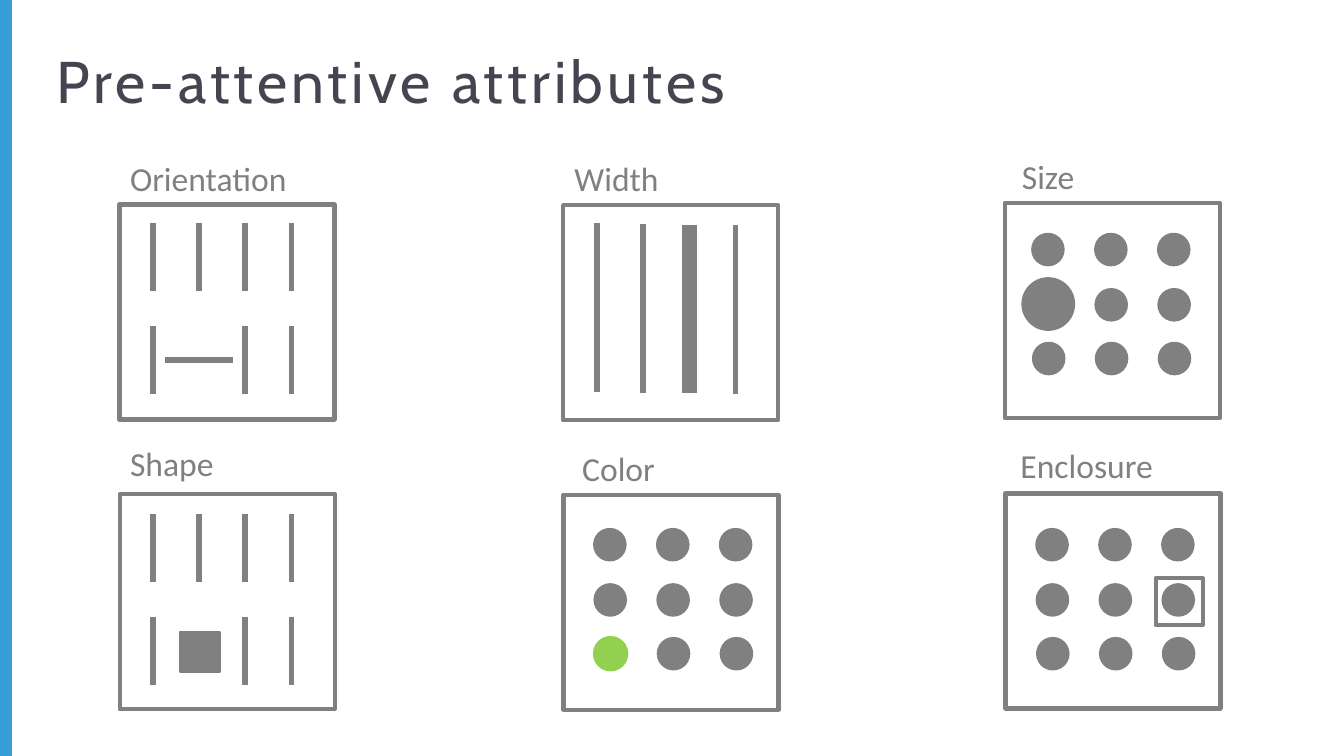
"""Build a slide of six panels showing pre-attentive visual attributes."""
from itertools import product

from lxml.etree import SubElement
from pptx import Presentation
from pptx.dml.color import RGBColor
from pptx.enum.shapes import MSO_CONNECTOR as Connector, MSO_SHAPE as Shape
from pptx.enum.text import MSO_ANCHOR as Anchor, PP_ALIGN as Align
from pptx.oxml.ns import qn
from pptx.util import Pt

GRAY = RGBColor(0x80, 0x80, 0x80)
BLUE = RGBColor(0x35, 0x9E, 0xD8)
GREEN = RGBColor(0x92, 0xD0, 0x50)
DARK = RGBColor(0x45, 0x45, 0x51)

TITLE = "Pre-attentive attributes"
FRAMES = [
    (64, 109.6), (301.7, 109.9), (538.4, 108.8),
    (64.2, 264.8), (301.9, 265), (538.7, 264.4),
]
LABELS = [
    ("Orientation", 62.6, 81, 99.4), ("Shape", 62.6, 234, 59.8),
    ("Width", 300.7, 81.3, 59.8), ("Color", 304.8, 236.2, 54),
    ("Size", 540.4, 80.1, 43.2), ("Enclosure", 539.6, 235, 86.4),
]
BAR_GRIDS = [(81.9, 119.5), (81.9, 275.4)]
DOT_GRIDS = [
    (552.4, 124.7, (1, 0)),
    (317.7, 282.8, (2, 0)),
    (554.6, 282.8, None),
]
WIDTH_BARS = [3, 3, 8, 3]

FRAME_SIZE = 115.2
BAR_STEP, BAR_ROW_STEP, BAR_LENGTH = 24.75, 55.4, 36.4
DOT_STEP, DOT_SIZE = 33.7, 18
DOT_ROWS = [0, 29.6, 58.4]
ODD_BAR = (1, 1)


def add_box(slide, kind, left, top, width, height, fill=None, line=None, weight=2.25):
    shape = slide.shapes.add_shape(kind, Pt(left), Pt(top), Pt(width), Pt(height))
    shape.shadow.inherit = False
    if fill is None:
        shape.fill.background()
    else:
        shape.fill.solid()
        shape.fill.fore_color.rgb = fill
    if line is None:
        shape.line.fill.background()
    else:
        shape.line.color.rgb = line
        shape.line.width = Pt(weight)


def add_bar(slide, x1, y1, x2, y2, weight=3):
    bar = slide.shapes.add_connector(Connector.STRAIGHT, Pt(x1), Pt(y1), Pt(x2), Pt(y2))
    bar.line.color.rgb = GRAY
    bar.line.width = Pt(weight)
    SubElement(bar._element.spPr, qn("a:effectLst"))


def add_text(slide, text, left, top, width, height, font, size, color, wrap=False):
    box = slide.shapes.add_textbox(Pt(left), Pt(top), Pt(width), Pt(height))
    frame = box.text_frame
    frame.word_wrap = wrap
    frame.vertical_anchor = Anchor.TOP
    paragraph = frame.paragraphs[0]
    paragraph.alignment = Align.LEFT
    run = paragraph.add_run()
    run.text = text
    run.font.name = font
    run.font.size = Pt(size)
    run.font.color.rgb = color
    return run


def add_bar_grid(slide, left, top):
    for row, column in product(range(2), range(4)):
        if (row, column) != ODD_BAR:
            x = left + column * BAR_STEP
            y = top + row * BAR_ROW_STEP
            add_bar(slide, x, y, x, y + BAR_LENGTH)


def add_dot_grid(slide, left, top, odd_dot):
    for row, column in product(range(3), range(3)):
        if (row, column) != odd_dot:
            x = left + column * DOT_STEP + row * 0.2
            add_box(slide, Shape.OVAL, x, top + DOT_ROWS[row], DOT_SIZE, DOT_SIZE, GRAY)


def main():
    presentation = Presentation()
    presentation.slide_width, presentation.slide_height = Pt(720), Pt(405)
    slide = presentation.slides.add_slide(presentation.slide_layouts[6])

    add_box(slide, Shape.RECTANGLE, 0, 0, 6.4, 405, BLUE)
    for left, top in FRAMES:
        add_box(slide, Shape.RECTANGLE, left, top, FRAME_SIZE, FRAME_SIZE, line=GRAY)
    for text, left, top, width in LABELS:
        add_text(slide, text, left, top, width, 29, "Calibri", 18, GRAY)

    for left, top in BAR_GRIDS:
        add_bar_grid(slide, left, top)
    for column, weight in enumerate(WIDTH_BARS):
        x = 319.8 + column * BAR_STEP
        y = 119.7 + column * 0.3
        add_bar(slide, x, y, x, y + 90.4, weight)
    for left, top, odd_dot in DOT_GRIDS:
        add_dot_grid(slide, left, top, odd_dot)

    add_bar(slide, 125, 193, 88.6, 193)
    add_box(slide, Shape.RECTANGLE, 96.3, 338.4, 21.6, 21.6, GRAY, GRAY, 1)
    add_box(slide, Shape.OVAL, 547.2, 148.5, 28.8, 28.8, GRAY)
    add_box(slide, Shape.OVAL, 318.1, 341.2, DOT_SIZE, DOT_SIZE, GREEN, GREEN, 1)
    add_box(slide, Shape.RECTANGLE, 619.1, 309.7, 25.2, 25.2, line=GRAY)

    title = add_text(slide, TITLE, 23, 20.2, 570, 58.3, "Cabin", 31.5, DARK, wrap=True)
    title._r.get_or_add_rPr().set("spc", "220")
    presentation.save("out.pptx")


if __name__ == "__main__":
    main()
